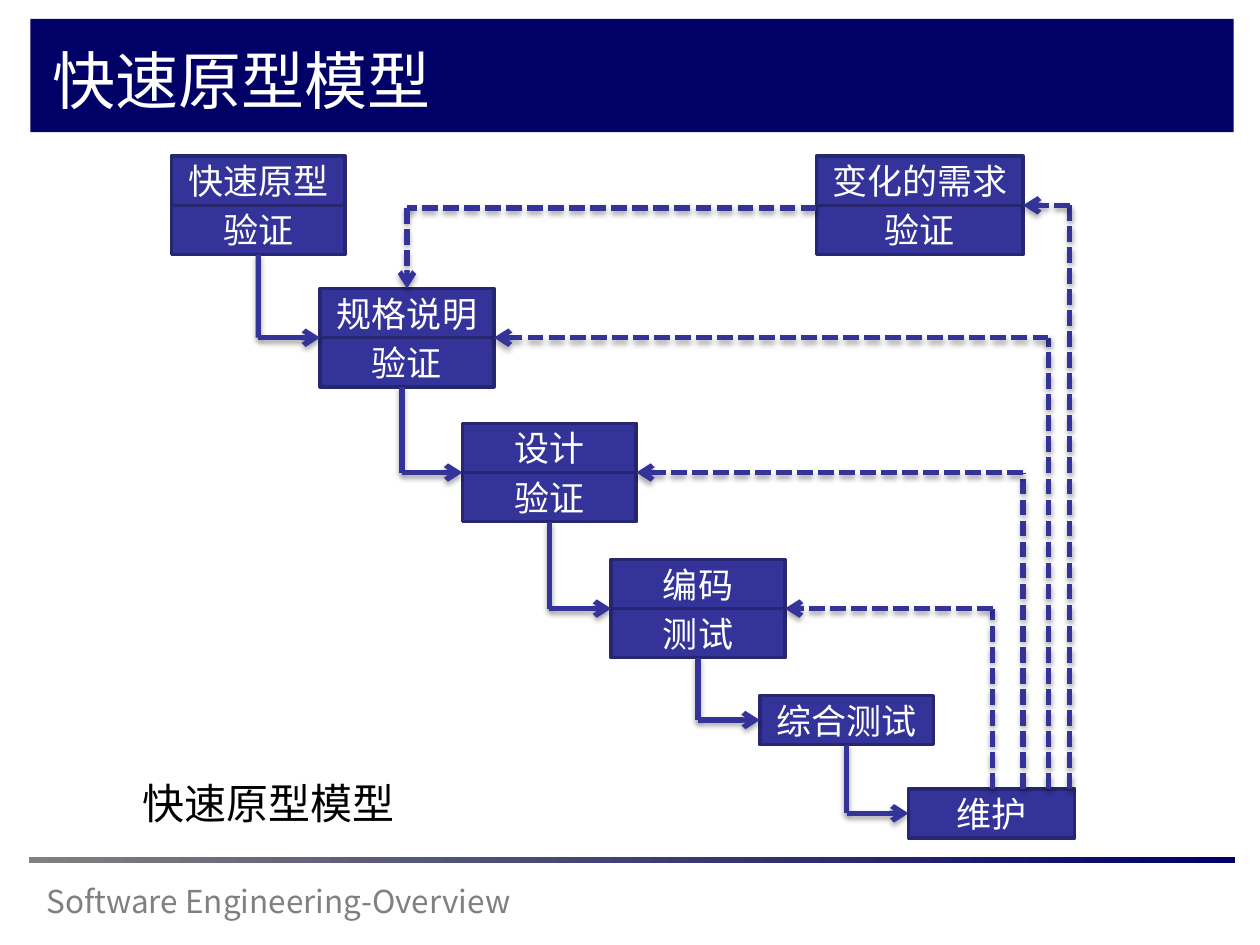
import dataclasses
import itertools
from typing import Optional

import lxml.etree
import pptx
import pptx.dml.color
import pptx.enum.dml
import pptx.enum.shapes
import pptx.enum.text
import pptx.oxml
import pptx.oxml.ns
import pptx.util

Inches = pptx.util.Inches
Pt = pptx.util.Pt
RGBColor = pptx.dml.color.RGBColor
qn = pptx.oxml.ns.qn
Align = pptx.enum.text.PP_ALIGN
Anchor = pptx.enum.text.MSO_ANCHOR
RECTANGLE = pptx.enum.shapes.MSO_SHAPE.RECTANGLE

NAVY = RGBColor(0x00, 0x00, 0x66)
INDIGO = RGBColor(0x33, 0x33, 0x99)
DARK_INDIGO = RGBColor(0x26, 0x26, 0x71)
GREY = RGBColor(0x80, 0x80, 0x80)
WHITE = RGBColor(0xFF, 0xFF, 0xFF)
BLACK = RGBColor(0x00, 0x00, 0x00)

FONT = "Noto Sans CJK SC"
CELL_HEIGHT = 0.39
TOP, LEFT, BOTTOM = 0, 1, 2
LINE_SHADOW = (
    '<a:effectLst xmlns:a="http://schemas.openxmlformats.org/drawingml/2006/main">'
    '<a:outerShdw blurRad="39370" dist="22860" dir="5400000" rotWithShape="0">'
    '<a:srgbClr val="000000"><a:alpha val="35000"/></a:srgbClr>'
    "</a:outerShdw></a:effectLst>"
)


@dataclasses.dataclass
class Stage:
    """A process step: one cell, or two stacked cells."""
    left: float
    top: float
    width: float
    labels: tuple
    drop_x: Optional[float] = None  # where the outgoing line leaves, if off centre
    cells: list = dataclasses.field(default_factory=list)

    @property
    def right(self) -> float:
        return self.left + self.width

    @property
    def center_x(self) -> float:
        return self.left + self.width / 2

    @property
    def middle_y(self) -> float:
        return self.top + CELL_HEIGHT * len(self.labels) / 2

    @property
    def bottom(self) -> float:
        return self.top + CELL_HEIGHT * len(self.labels)


def write(frame, text: str, size: float, color: RGBColor, align=Align.LEFT) -> None:
    frame.word_wrap = True
    paragraph = frame.paragraphs[0]
    paragraph.alignment = align
    run = paragraph.add_run()
    run.text = text
    run.font.name = FONT
    run.font.size = Pt(size)
    run.font.color.rgb = color
    east_asian = lxml.etree.SubElement(run.font._element, qn("a:ea"))
    east_asian.set("typeface", FONT)


def add_text(slide, left: float, top: float, width: float, height: float,
             text: str, size: float, color: RGBColor) -> None:
    box = slide.shapes.add_textbox(*map(Inches, (left, top, width, height)))
    write(box.text_frame, text, size, color)


def add_bar(slide, left: float, top: float, width: float, height: float):
    bar = slide.shapes.add_shape(RECTANGLE, *map(Inches, (left, top, width, height)))
    bar.shadow.inherit = False
    bar.line.fill.background()
    return bar


def draw_stage(slide, stage: Stage) -> None:
    for row, label in enumerate(stage.labels):
        cell = slide.shapes.add_shape(
            RECTANGLE, Inches(stage.left), Inches(stage.top + row * CELL_HEIGHT),
            Inches(stage.width), Inches(CELL_HEIGHT))
        cell.shadow.inherit = False
        cell.fill.solid()
        cell.fill.fore_color.rgb = INDIGO
        cell.line.color.rgb = DARK_INDIGO
        cell.line.width = Pt(2)
        cell.text_frame.vertical_anchor = Anchor.MIDDLE
        write(cell.text_frame, label, 20, WHITE, Align.CENTER)
        stage.cells.append(cell)


def draw_line(slide, start: tuple, end: tuple, dashed: bool, arrow: bool):
    connector = slide.shapes.add_connector(
        pptx.enum.shapes.MSO_CONNECTOR.STRAIGHT, *map(Inches, start + end))
    connector.line.color.rgb = INDIGO
    connector.line.width = Pt(3)
    if dashed:
        connector.line.dash_style = pptx.enum.dml.MSO_LINE.SQUARE_DOT
    if arrow:
        tail = lxml.etree.SubElement(connector.line._get_or_add_ln(), qn("a:tailEnd"))
        tail.set("type", "arrow")
    connector._element.spPr.append(pptx.oxml.parse_xml(LINE_SHADOW))
    return connector


def draw_elbow(slide, start: tuple, corner: tuple, end: tuple, dashed: bool) -> tuple:
    return (draw_line(slide, start, corner, dashed, False),
            draw_line(slide, corner, end, dashed, True))


def main() -> None:
    deck = pptx.Presentation()
    deck.slide_width, deck.slide_height = Inches(10), Inches(7.5)
    slide = deck.slides.add_slide(deck.slide_layouts[5])

    # Banner, footer and rule
    banner = add_bar(slide, 0.24, 0.15, 9.55, 0.9)
    banner.fill.solid()
    banner.fill.fore_color.rgb = NAVY
    add_text(slide, 0.27, 6.95, 5.17, 0.4, "Software Engineering-Overview", 18, GREY)
    rule = add_bar(slide, 0.23, 6.8, 9.57, 0.05)
    rule.fill.gradient()
    rule.fill.gradient_angle = 0
    for stop, color in zip(rule.fill.gradient_stops, (GREY, NAVY)):
        stop.color.rgb = color

    # Title, brought in front of the banner
    title = slide.shapes.title
    title.left, title.top, title.width, title.height = map(Inches, (0.32, 0.26, 8.81, 0.74))
    title.text_frame.auto_size = pptx.enum.text.MSO_AUTO_SIZE.NONE
    title.text_frame.vertical_anchor = Anchor.MIDDLE
    write(title.text_frame, "快速原型模型", 36, WHITE)
    slide.shapes._spTree.append(title._element)

    # Stages
    prototype = Stage(1.36, 1.24, 1.38, ("快速原型", "验证"))
    specification = Stage(2.54, 2.29, 1.38, ("规格说明", "验证"), drop_x=3.19)
    design = Stage(3.67, 3.36, 1.38, ("设计", "验证"))
    coding = Stage(4.85, 4.44, 1.38, ("编码", "测试"))
    integration = Stage(6.03, 5.52, 1.38, ("综合测试",))
    maintenance = Stage(7.21, 6.26, 1.32, ("维护",))
    changes = Stage(6.48, 1.24, 1.64, ("变化的需求", "验证"))
    cascade = [prototype, specification, design, coding, integration, maintenance]
    for stage in cascade + [changes]:
        draw_stage(slide, stage)

    # Forward flow down the cascade
    for source, target in itertools.pairwise(cascade):
        x = source.drop_x or source.center_x
        drop, entry = draw_elbow(slide, (x, source.bottom), (x, target.middle_y),
                                 (target.left, target.middle_y), dashed=False)
        if source.drop_x is None:
            drop.begin_connect(source.cells[-1], BOTTOM)
        if len(target.cells) == 1:
            entry.end_connect(target.cells[0], LEFT)

    # Feedback from maintenance
    for x, target in ((8.49, changes), (8.32, specification), (8.12, design), (7.88, coding)):
        draw_elbow(slide, (x, maintenance.top), (x, target.middle_y),
                   (target.right, target.middle_y), dashed=True)

    # Changed requirements back to the specification
    x, y = specification.center_x, 1.65
    _, entry = draw_elbow(slide, (changes.left, y), (x, y), (x, specification.top), dashed=True)
    entry.end_connect(specification.cells[0], TOP)

    # Caption
    add_text(slide, 1.03, 6.12, 3.59, 0.5, "快速原型模型", 24, BLACK)

    deck.save("out.pptx")


if __name__ == "__main__":
    main()
